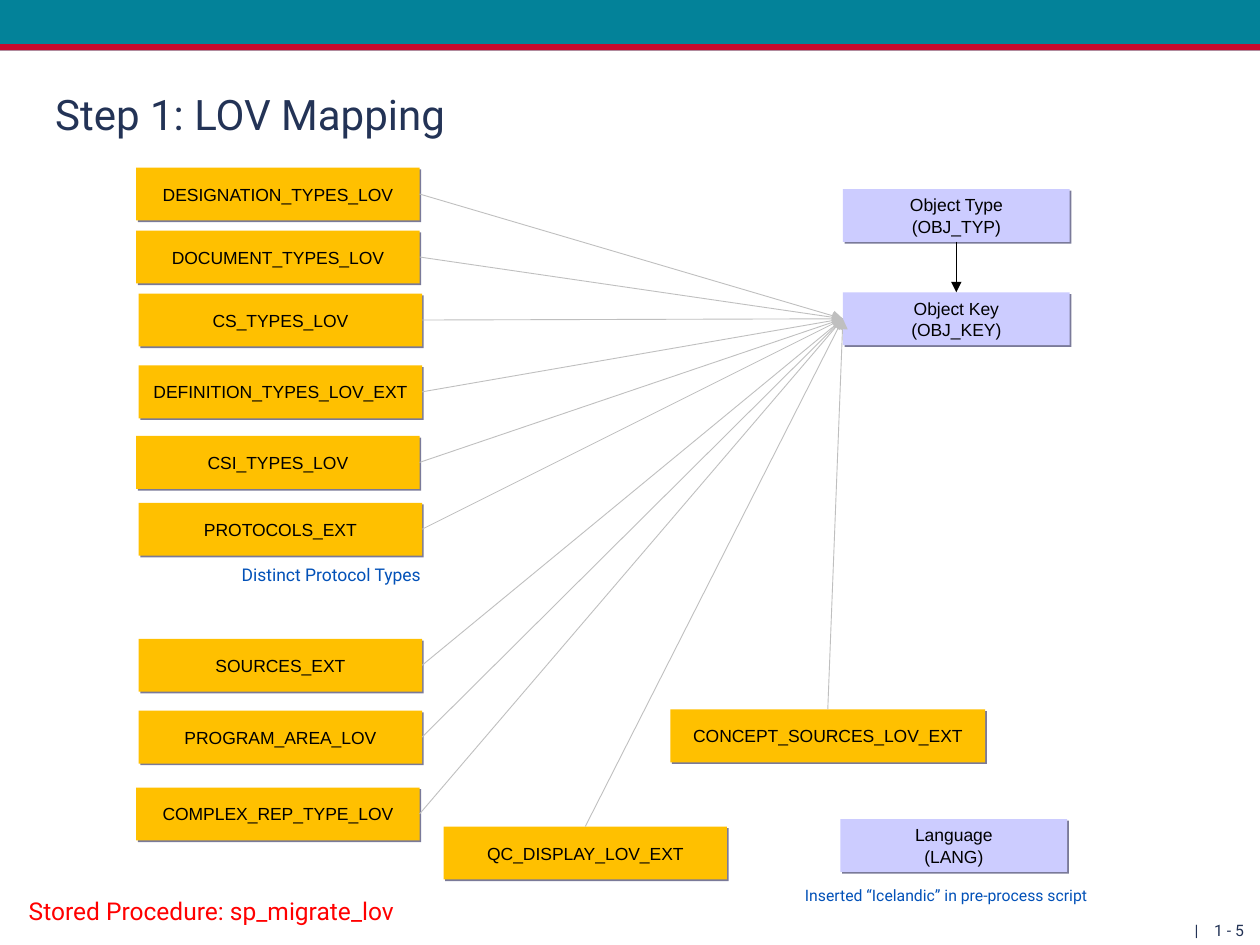
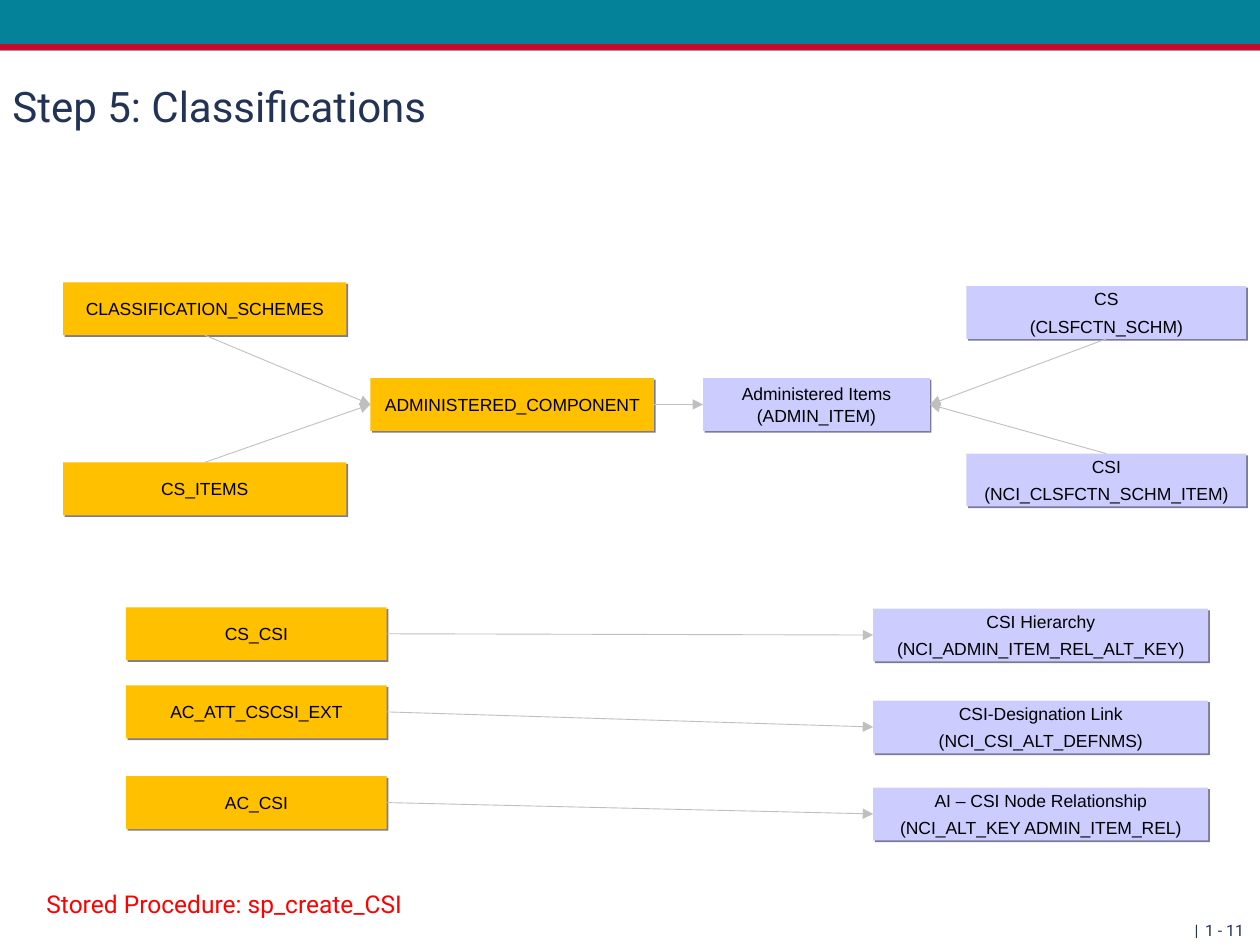
from dataclasses import dataclass
from lxml.etree import SubElement
from pptx import Presentation
from pptx.dml.color import RGBColor as RGB
from pptx.enum.shapes import MSO_CONNECTOR as CONN, MSO_SHAPE as SHAPE
from pptx.enum.text import MSO_ANCHOR as ANCHOR, PP_ALIGN as ALIGN
from pptx.oxml.ns import qn
from pptx.util import Inches, Pt


@dataclass(frozen=True)
class Theme:
    teal: str = "038299"
    red: str = "C6092D"
    navy: str = "233356"
    source: str = "FFC000"
    target: str = "CCCCFF"
    shadow: str = "7A7A99"
    link: str = "BFBFBF"
    black: str = "000000"
    note: str = "0251B8"
    procedure: str = "FF0000"
    head_font: str = "Roboto"
    node_font: str = "Arial"
    title_size: int = 24
    procedure_size: int = 14
    node_size: int = 10
    small_size: int = 9


T = Theme()
NODE_H = 0.42
TOP, LEFT, BOTTOM, RIGHT = range(4)  # connection sites of a rectangle


def write(sp, text, size, color, font=T.head_font, align=ALIGN.LEFT,
          anchor=ANCHOR.TOP, wrap=True):
    """Fill a shape with text, one paragraph per line."""
    tf = sp.text_frame
    tf.text = text
    tf.word_wrap = wrap
    tf.vertical_anchor = anchor
    for i, p in enumerate(tf.paragraphs):
        p.alignment = align
        p.space_before = Pt(3.7 if i else 0)
        for r in p.runs:
            r.font.name = font
            r.font.size = Pt(size)
            r.font.color.rgb = RGB.from_string(color)


def add_rect(s, x, y, w, h, fill):
    """Add a plain filled rectangle."""
    sp = s.shapes.add_shape(SHAPE.RECTANGLE, Inches(x), Inches(y), Inches(w), Inches(h))
    sp.shadow.inherit = False
    sp.fill.solid()
    sp.fill.fore_color.rgb = RGB.from_string(fill)
    sp.line.fill.background()
    return sp


# Step 1: every list of values maps to the object key
lov_nodes = [
    ("DESIGNATION_TYPES_LOV", 1.08, 1.33),
    ("DOCUMENT_TYPES_LOV", 1.08, 1.83),
    ("CS_TYPES_LOV", 1.1, 2.33),
    ("DEFINITION_TYPES_LOV_EXT", 1.1, 2.9),
    ("CSI_TYPES_LOV", 1.08, 3.46),
    ("PROTOCOLS_EXT", 1.1, 3.99),
    ("SOURCES_EXT", 1.1, 5.07),
    ("PROGRAM_AREA_LOV", 1.1, 5.64),
    ("COMPLEX_REP_TYPE_LOV", 1.08, 6.25),
]
OBJ_TYPE, OBJ_KEY = "Object Type\v(OBJ_TYP)", "Object Key\v(OBJ_KEY)"
lov_mapping = dict(
    title=("Step 1: LOV Mapping", 0.34, 0.56),
    number="1 - 5",
    procedure=("Stored Procedure: sp_migrate_lov", 0.13, 7.06, 3.34),
    notes=[("Distinct Protocol Types", 1.82, 4.43, 1.68, T.node_size),
           ("Inserted “Icelandic” in pre-process script", 6.29, 6.98, 2.56, T.small_size)],
    nodes=[(label, x, y, 2.25, T.source) for label, x, y in lov_nodes] + [
        ("QC_DISPLAY_LOV_EXT", 3.52, 6.56, 2.25, T.source),
        ("CONCEPT_SOURCES_LOV_EXT", 5.32, 5.63, 2.5, T.source),
        (OBJ_TYPE, 6.69, 1.5, 1.8, T.target),
        (OBJ_KEY, 6.69, 2.32, 1.8, T.target),
        ("Language\v(LANG)", 6.67, 6.5, 1.8, T.target),
    ],
    links=[(OBJ_TYPE, BOTTOM, OBJ_KEY, TOP, T.black)]
    + [(label, RIGHT, OBJ_KEY, LEFT, T.link) for label, x, y in lov_nodes]
    + [(label, TOP, OBJ_KEY, LEFT, T.link)
       for label in ("QC_DISPLAY_LOV_EXT", "CONCEPT_SOURCES_LOV_EXT")],
)

# Step 5: schemes and items meet in the administered items; three direct pairs below
COMPONENT, ADMIN_ITEM = "ADMINISTERED_COMPONENT", "Administered Items (ADMIN_ITEM)"
SCHEMES, ITEMS = "CLASSIFICATION_SCHEMES", "CS_ITEMS"
CS, CSI = "CS\n(CLSFCTN_SCHM)", "CSI\n(NCI_CLSFCTN_SCHM_ITEM)"
csi_pairs = [
    ("CS_CSI", 4.82, "CSI Hierarchy\n(NCI_ADMIN_ITEM_REL_ALT_KEY)", 4.83),
    ("AC_ATT_CSCSI_EXT", 5.44, "CSI-Designation Link\n(NCI_CSI_ALT_DEFNMS)", 5.56),
    ("AC_CSI", 6.16, "AI – CSI Node Relationship\n(NCI_ALT_KEY ADMIN_ITEM_REL)", 6.25),
]
classifications = dict(
    title=("Step 5: Classifications", 0, 0.49),
    number="1 - 11",
    procedure=("Stored Procedure: sp_create_CSI", 0.27, 7.01, 3.22),
    notes=[],
    nodes=[
        (SCHEMES, 0.5, 2.24, 2.25, T.source),
        (ITEMS, 0.5, 3.67, 2.25, T.source),
        (COMPONENT, 2.94, 3, 2.25, T.source),
        (ADMIN_ITEM, 5.58, 3, 1.8, T.target),
        (CS, 7.67, 2.27, 2.22, T.target),
        (CSI, 7.67, 3.6, 2.22, T.target),
    ]
    + [(src, 1, y, 2.07, T.source) for src, y, _, _ in csi_pairs]
    + [(dst, 6.93, y, 2.66, T.target) for _, _, dst, y in csi_pairs],
    links=[
        (SCHEMES, BOTTOM, COMPONENT, LEFT, T.link),
        (ITEMS, TOP, COMPONENT, LEFT, T.link),
        (COMPONENT, RIGHT, ADMIN_ITEM, LEFT, T.link),
        (CS, BOTTOM, ADMIN_ITEM, RIGHT, T.link),
        (CSI, TOP, ADMIN_ITEM, RIGHT, T.link),
    ]
    + [(src, RIGHT, dst, LEFT, T.link) for src, _, dst, _ in csi_pairs],
)

prs = Presentation()
prs.slide_width, prs.slide_height = Inches(10), Inches(7.5)

for page in (lov_mapping, classifications):
    s = prs.slides.add_slide(prs.slide_layouts[6])

    # Top bands
    add_rect(s, 0, 0, 10, 0.4, T.teal)
    add_rect(s, 0, 0.35, 10, 0.05, T.red)

    # Footer: divider and page number
    for text, x, w in (("|", 7.65, 1.96), (page["number"], 3.52, 6.45)):
        sp = s.shapes.add_textbox(Inches(x), Inches(7.23), Inches(w), Inches(0.27))
        write(sp, text, T.small_size, T.navy, align=ALIGN.RIGHT)
        sp.text_frame.paragraphs[0].line_spacing = 1.2

    # Title
    text, x, y = page["title"]
    sp = s.shapes.add_textbox(Inches(x), Inches(y), Inches(9), Inches(0.69))
    write(sp, text, T.title_size, T.navy, anchor=ANCHOR.MIDDLE)

    # Table boxes with a hard offset shadow
    boxes = {}
    for label, x, y, w, fill in page["nodes"]:
        sp = add_rect(s, x, y, w, NODE_H, fill)
        effects = sp.element.spPr.find(qn("a:effectLst"))
        shadow = SubElement(effects, qn("a:outerShdw"), blurRad="0", dist=str(Pt(1.4)),
                            dir="2700000", algn="ctr", rotWithShape="0")
        SubElement(shadow, qn("a:srgbClr"), val=T.shadow)
        write(sp, label, T.node_size, T.black, T.node_font, ALIGN.CENTER, ANCHOR.MIDDLE)
        boxes[label] = sp

    # Mapping arrows
    for src, src_site, dst, dst_site, color in page["links"]:
        c = s.shapes.add_connector(CONN.STRAIGHT, 0, 0, 0, 0)
        c.begin_connect(boxes[src], src_site)
        c.end_connect(boxes[dst], dst_site)
        c.line.color.rgb = RGB.from_string(color)
        c.line.width = Pt(0.5)
        SubElement(c.line._get_or_add_ln(), qn("a:tailEnd"), type="triangle")
        SubElement(c.element.spPr, qn("a:effectLst"))

    # Side notes and stored procedure
    for text, x, y, w, size in page["notes"]:
        sp = s.shapes.add_textbox(Inches(x), Inches(y), Inches(w), Inches(0.26))
        write(sp, text, size, T.note, wrap=False)
    text, x, y, w = page["procedure"]
    sp = s.shapes.add_textbox(Inches(x), Inches(y), Inches(w), Inches(0.34))
    write(sp, text, T.procedure_size, T.procedure, wrap=False)

prs.save("out.pptx")
